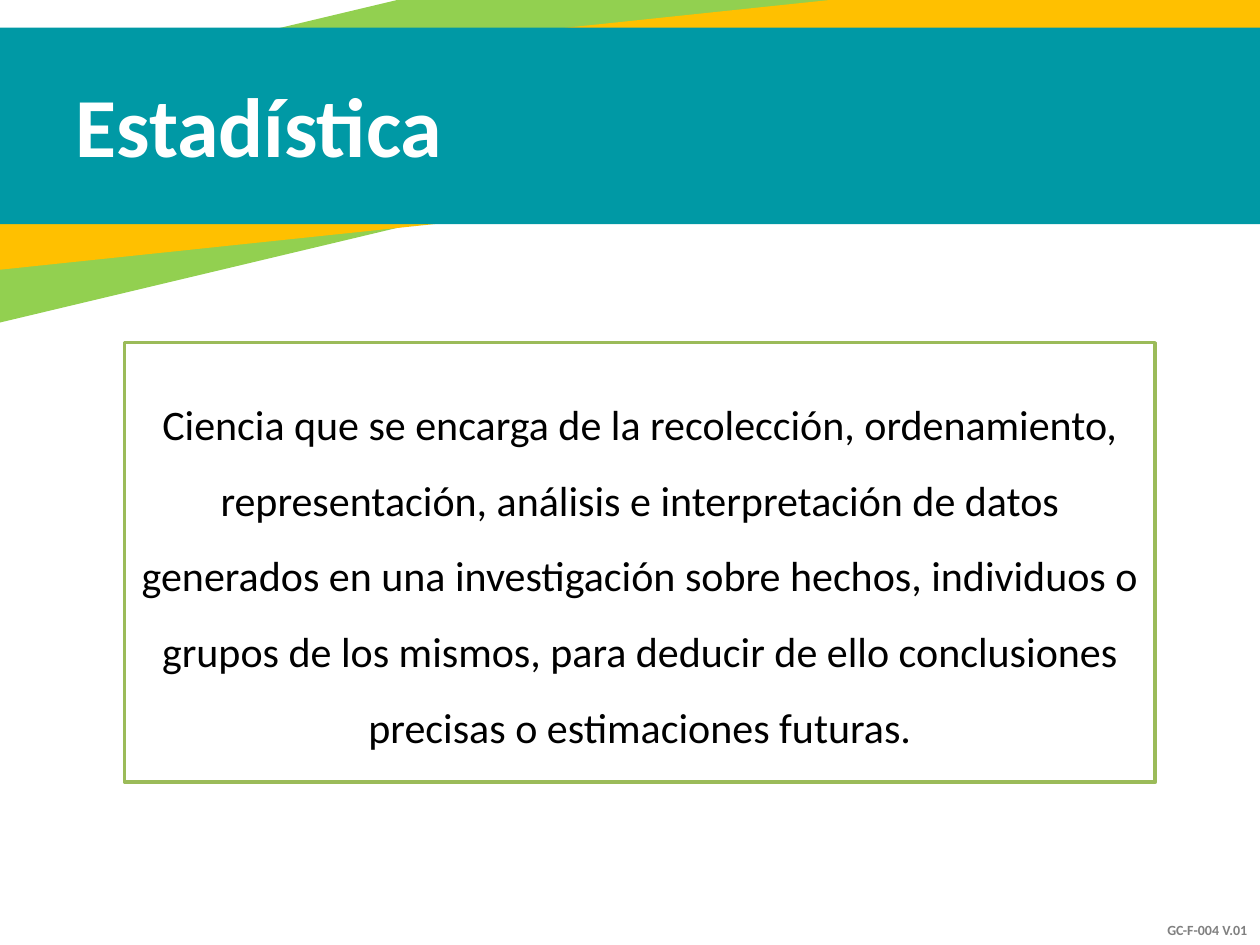
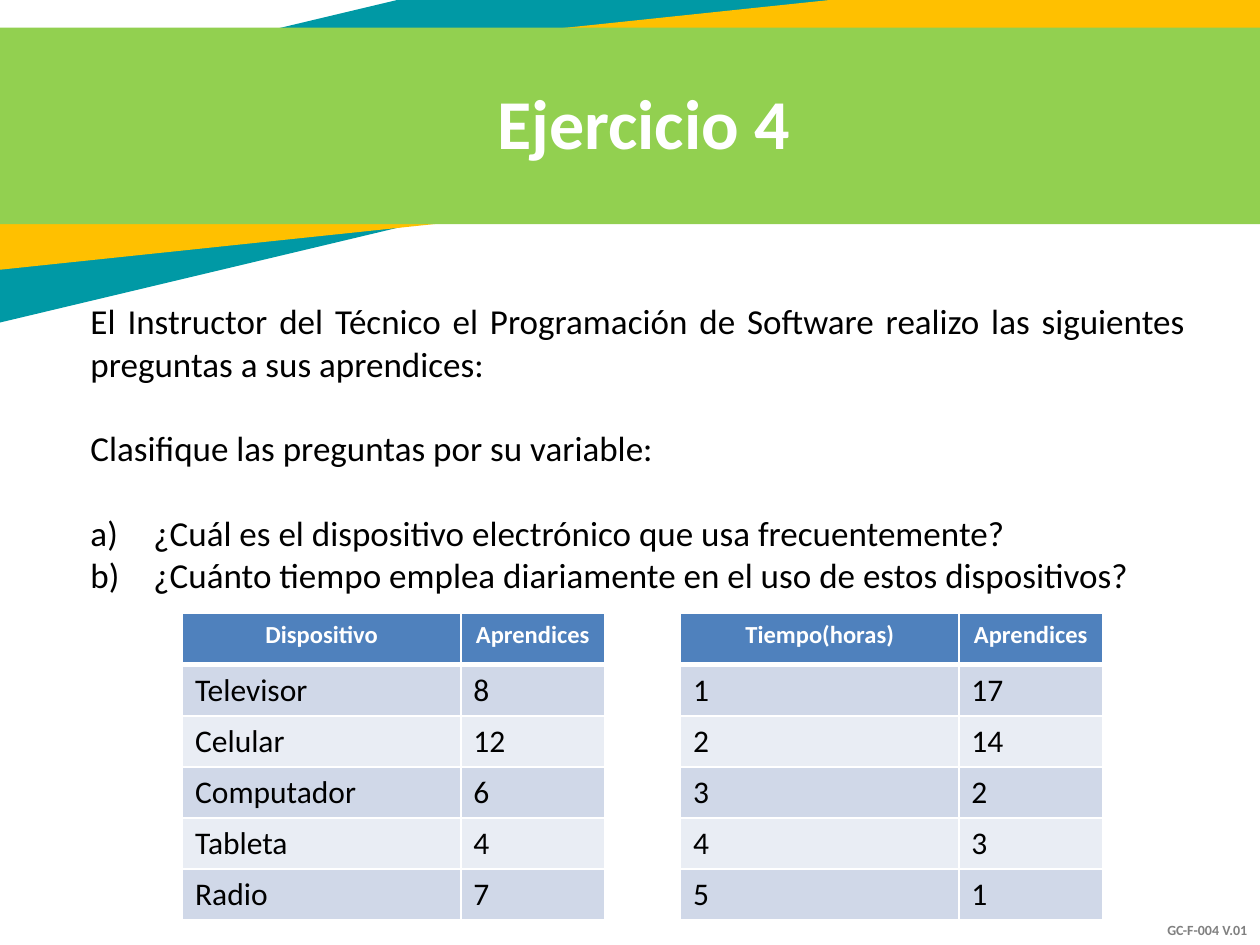
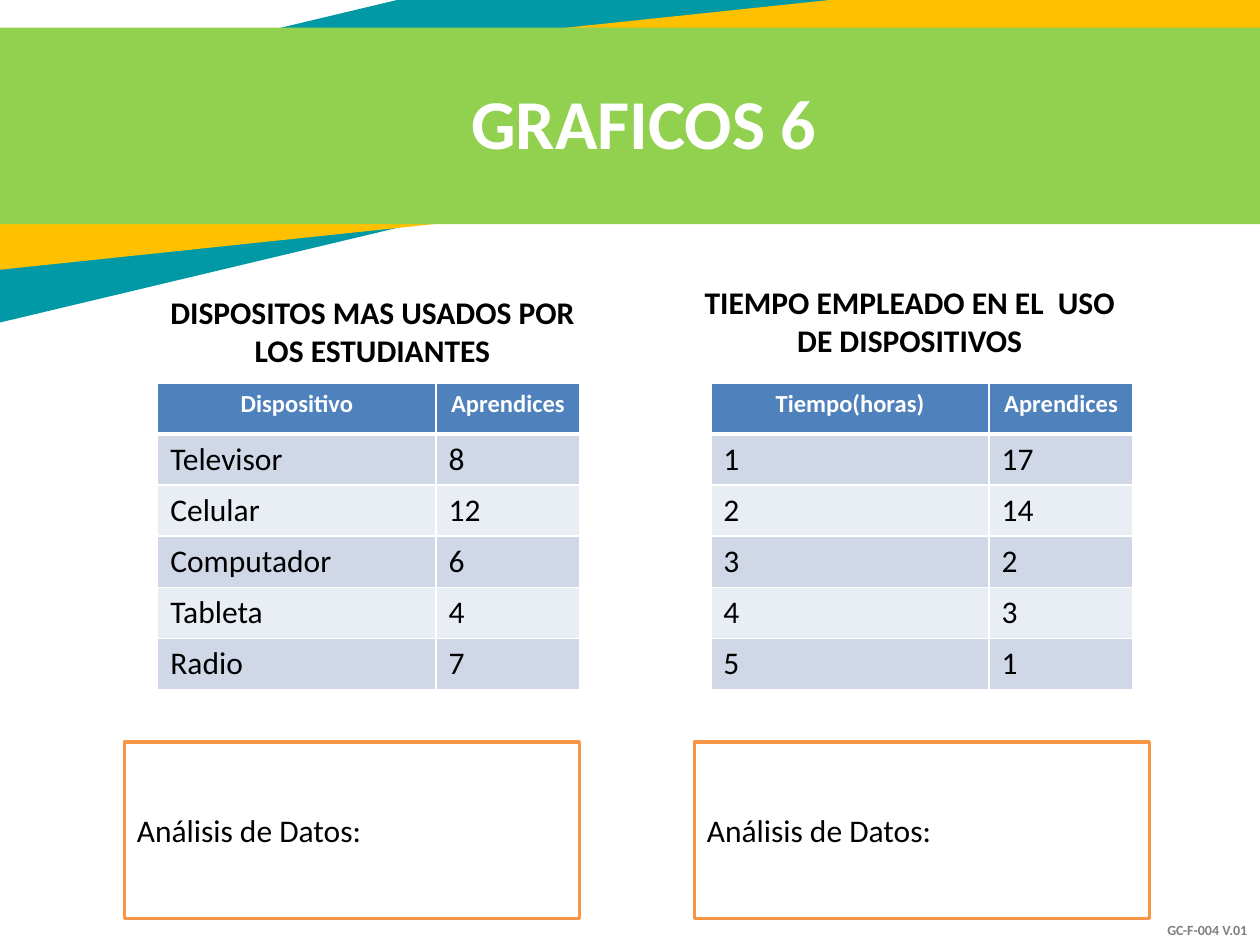
from dataclasses import dataclass

from lxml.etree import SubElement
from pptx import Presentation
from pptx.dml.color import RGBColor as RGB
from pptx.enum.shapes import MSO_SHAPE as Shape
from pptx.enum.text import MSO_ANCHOR as Anchor, MSO_AUTO_SIZE as AutoSize, PP_ALIGN as Align
from pptx.oxml.ns import qn
from pptx.util import Cm, Pt


@dataclass(frozen=True)
class Theme:
    font: str = "Calibri"
    teal: str = "0099A5"
    green: str = "92D050"
    amber: str = "FFC000"
    olive: str = "9BBB59"
    orange: str = "F79646"
    header_blue: str = "4F81BD"
    row_tints: tuple = ("D0D8E8", "E9EDF4")
    white: str = "FFFFFF"
    black: str = "000000"
    gray: str = "808080"
    cover_title: int = 48
    title: int = 40
    definition: int = 24
    body: int = 20
    label: int = 18
    table_header: int = 14
    footer: int = 8


THEME = Theme()


@dataclass(frozen=True)
class Box:
    left: float
    top: float
    width: float
    height: float

    def lengths(self) -> tuple:
        return tuple(Cm(v) for v in (self.left, self.top, self.width, self.height))


@dataclass(frozen=True)
class TextStyle:
    size: int
    color: str = THEME.black
    bold: bool = False
    align: Align = Align.LEFT
    anchor: Anchor = Anchor.MIDDLE
    spacing: float = 1.0


@dataclass(frozen=True)
class Band:
    box: Box
    rotation: float


@dataclass(frozen=True)
class Survey:
    question: str
    rows: tuple


@dataclass(frozen=True)
class Panel:
    survey: Survey
    heading: str
    heading_box: Box
    table_left: float
    analysis_left: float


@dataclass(frozen=True)
class Item:
    text: str
    gap_before: float = 0
    lettered: bool = False


BANDS = (
    Band(Box(-6.38, -0.46, 33.17, 4.47), 346.6),
    Band(Box(-2.79, 0.51, 29.54, 3.66), 354),
    Band(Box(-2.69, 0.56, 29.54, 3.96), 0),
)
COVER_BANDS = (THEME.green, THEME.amber, THEME.teal)
EXERCISE_BANDS = (THEME.teal, THEME.amber, THEME.green)

COVER_TITLE = TextStyle(THEME.cover_title, THEME.white, True)
TITLE = TextStyle(THEME.title, THEME.white, True, Align.CENTER)
FOOTER = TextStyle(THEME.footer, THEME.gray, True, Align.RIGHT, Anchor.BOTTOM)
DEFINITION = TextStyle(THEME.definition, align=Align.CENTER, spacing=1.5)
BODY = TextStyle(THEME.body, align=Align.JUSTIFY, anchor=Anchor.TOP)
HEADING = TextStyle(THEME.label, bold=True, align=Align.CENTER, anchor=Anchor.TOP)
LABEL = TextStyle(THEME.label)
TABLE_HEADER = TextStyle(THEME.table_header, THEME.white, True, Align.CENTER, Anchor.TOP)
TABLE_CELL = TextStyle(THEME.label, anchor=Anchor.TOP)

COVER_TITLE_BOX = Box(1.27, 1.27, 23.22, 2.46)
TITLE_BOX = Box(0.28, 0, 25.4, 4.88)
FOOTER_BOX = Box(21.26, 17.6, 4.14, 1.45)
COLUMN_WIDTHS = (5.61, 2.9)
ROW_HEIGHT = 1.03
HEADING_INDENT = 1.24
LIST_INDENT = 1.27
BLANK_LINE = 24.4

DEVICES = Survey("Dispositivo", (
    ("Televisor", 8), ("Celular", 12), ("Computador", 6), ("Tableta", 4), ("Radio", 7)))
HOURS = Survey("Tiempo(horas)", ((1, 17), (2, 14), (3, 2), (4, 3), (5, 1)))

QUESTIONS = (
    Item("El Instructor del Técnico el Programación de Software realizo las siguientes "
         "preguntas a sus aprendices:"),
    Item("Clasifique las preguntas por su variable:", BLANK_LINE),
    Item("¿Cuál es el dispositivo electrónico que usa frecuentemente?", BLANK_LINE, True),
    Item("¿Cuánto tiempo emplea diariamente en el uso de estos dispositivos?", 0, True),
)

PANELS = (
    Panel(DEVICES, "DISPOSITOS MAS USADOS POR LOS ESTUDIANTES",
          Box(1.57, 5.79, 10.64, 1.8), 3.18, 2.51),
    Panel(HOURS, "TIEMPO EMPLEADO EN EL  USO DE DISPOSITIVOS",
          Box(12.4, 5.59, 10.64, 1.8), 14.33, 14.0),
)


def write(paragraph, text: str, style: TextStyle, space_before: float = 0) -> None:
    layout = {"alignment": style.align, "line_spacing": style.spacing,
              "space_before": Pt(space_before), "space_after": Pt(0)}
    for attribute, value in layout.items():
        setattr(paragraph, attribute, value)
    run = paragraph.add_run()
    run.text = text
    look = {"name": THEME.font, "size": Pt(style.size), "bold": style.bold}
    for attribute, value in look.items():
        setattr(run.font, attribute, value)
    run.font.color.rgb = RGB.from_string(style.color)


def prepare_frame(shape, style: TextStyle):
    frame = shape.text_frame
    settings = {"word_wrap": True, "auto_size": AutoSize.NONE, "vertical_anchor": style.anchor}
    for attribute, value in settings.items():
        setattr(frame, attribute, value)
    return frame


def indent(paragraph, margin: float, first_line: float = 0) -> None:
    properties = paragraph._p.get_or_add_pPr()
    properties.set("marL", str(Cm(margin)))
    properties.set("indent", str(Cm(first_line)))


def place(shape, box: Box) -> None:
    for side, length in zip(("left", "top", "width", "height"), box.lengths()):
        setattr(shape, side, length)


def add_rectangle(slide, box: Box, fill: str, border: str = ""):
    rectangle = slide.shapes.add_shape(Shape.RECTANGLE, *box.lengths())
    rectangle.shadow.inherit = False
    rectangle.fill.solid()
    rectangle.fill.fore_color.rgb = RGB.from_string(fill)
    if border:
        rectangle.line.color.rgb = RGB.from_string(border)
        rectangle.line.width = Pt(2)
    else:
        rectangle.line.fill.background()
    return rectangle


def add_framed_text(slide, box: Box, border: str, text: str, style: TextStyle) -> None:
    rectangle = add_rectangle(slide, box, THEME.white, border)
    write(prepare_frame(rectangle, style).paragraphs[0], text, style)


def add_text(slide, box: Box, text: str, style: TextStyle, margin: float = 0) -> None:
    label = slide.shapes.add_textbox(*box.lengths())
    paragraph = prepare_frame(label, style).paragraphs[0]
    write(paragraph, text, style)
    indent(paragraph, margin)


def add_page(deck, layout: int, title: str, box: Box, style: TextStyle, colors: tuple):
    """Add a slide with the footer code, the slanted bands and the title over them."""
    slide = deck.slides.add_slide(deck.slide_layouts[layout])
    add_text(slide, FOOTER_BOX, "GC-F-004 V.01", FOOTER)
    for band, color in zip(BANDS, colors):
        add_rectangle(slide, band.box, color).rotation = band.rotation
    heading = slide.shapes.title
    place(heading, box)
    write(prepare_frame(heading, style).paragraphs[0], title, style)
    heading.element.getparent().append(heading.element)
    return slide


def add_borders(cell, bottom: float) -> None:
    properties = cell._tc.get_or_add_tcPr()
    for side, width in {"L": 1, "R": 1, "T": 1, "B": bottom}.items():
        line = SubElement(properties, qn(f"a:ln{side}"), w=str(Pt(width)))
        fill = SubElement(line, qn("a:solidFill"))
        SubElement(fill, qn("a:srgbClr"), val=THEME.white)


def add_survey_table(slide, survey: Survey, left: float, top: float) -> None:
    rows = ((survey.question, "Aprendices"), *survey.rows)
    box = Box(left, top, sum(COLUMN_WIDTHS), ROW_HEIGHT * len(rows))
    table = slide.shapes.add_table(len(rows), len(COLUMN_WIDTHS), *box.lengths()).table
    for column, width in zip(table.columns, COLUMN_WIDTHS):
        column.width = Cm(width)
    for r, values in enumerate(rows):
        table.rows[r].height = Cm(ROW_HEIGHT)
        is_header = r == 0
        tint = THEME.header_blue if is_header else THEME.row_tints[(r - 1) % 2]
        style = TABLE_HEADER if is_header else TABLE_CELL
        for c, value in enumerate(values):
            cell = table.cell(r, c)
            add_borders(cell, 3 if is_header else 1)
            cell.fill.solid()
            cell.fill.fore_color.rgb = RGB.from_string(tint)
            write(cell.text_frame.paragraphs[0], str(value), style)


def fill_questions(body) -> None:
    place(body, Box(1.57, 5.92, 22.58, 6.3))
    frame = prepare_frame(body, BODY)
    for i, item in enumerate(QUESTIONS):
        paragraph = frame.add_paragraph() if i else frame.paragraphs[0]
        write(paragraph, item.text, BODY, item.gap_before)
        properties = paragraph._p.get_or_add_pPr()
        if item.lettered:
            indent(paragraph, LIST_INDENT, -LIST_INDENT)
            SubElement(properties, qn("a:buFont"), typeface="+mj-lt")
            SubElement(properties, qn("a:buAutoNum"), type="alphaLcParenR")
        else:
            indent(paragraph, 0)
            SubElement(properties, qn("a:buNone"))


def build_definition(deck) -> None:
    slide = add_page(deck, 5, "Estadística", COVER_TITLE_BOX, COVER_TITLE, COVER_BANDS)
    add_framed_text(
        slide, Box(2.51, 6.91, 20.78, 8.86), THEME.olive,
        "Ciencia que se encarga de la recolección, ordenamiento, representación, análisis "
        "e interpretación de datos generados en una investigación sobre hechos, individuos "
        "o grupos de los mismos, para deducir de ello conclusiones precisas o estimaciones "
        "futuras.", DEFINITION)


def build_exercise(deck) -> None:
    slide = add_page(deck, 1, "Ejercicio 4", TITLE_BOX, TITLE, EXERCISE_BANDS)
    body = slide.placeholders[1]
    fill_questions(body)
    body.element.getparent().append(body.element)
    for survey, left in ((DEVICES, 3.68), (HOURS, 13.72)):
        add_survey_table(slide, survey, left, 12.37)


def build_charts_task(deck) -> None:
    slide = add_page(deck, 5, "GRAFICOS 6", TITLE_BOX, TITLE, EXERCISE_BANDS)
    for panel in PANELS:
        add_text(slide, panel.heading_box, panel.heading, HEADING, HEADING_INDENT)
        add_survey_table(slide, panel.survey, panel.table_left, 7.72)
        add_framed_text(slide, Box(panel.analysis_left, 14.96, 9.17, 3.56), THEME.orange,
                        "Análisis de Datos:", LABEL)


def main() -> None:
    deck = Presentation()
    deck.slide_width, deck.slide_height = Cm(25.4), Cm(19.05)
    build_definition(deck)
    build_exercise(deck)
    build_charts_task(deck)
    deck.save("out.pptx")


if __name__ == "__main__":
    main()
